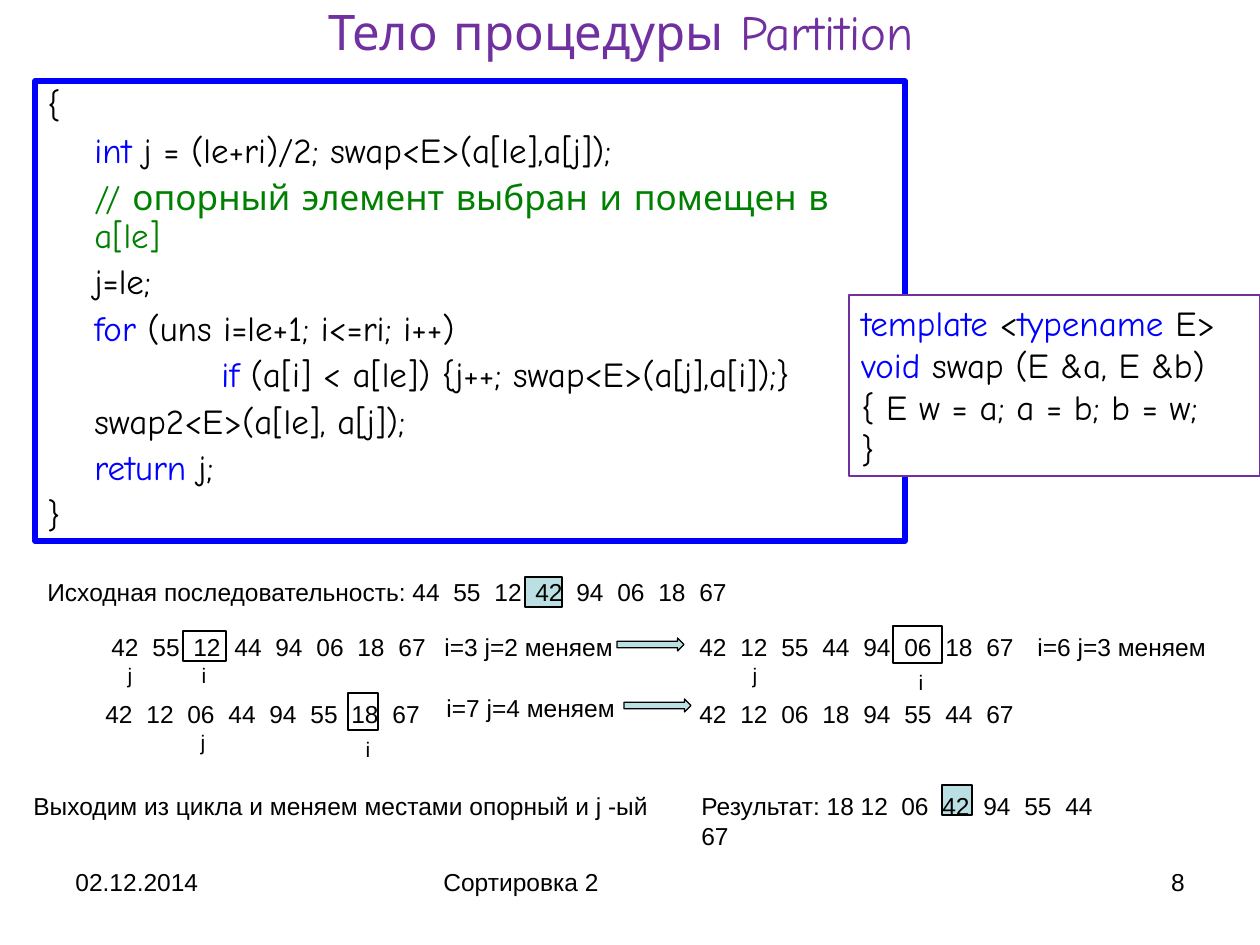
import pptx
import pptx.dml.color
import pptx.enum.shapes
import pptx.enum.text
import pptx.util
from lxml import etree

EMU_PER_PX = 914400 / 126
COLORS = {
    "text": "000000",
    "title": "7030A0",
    "keyword": "0000FF",
    "comment": "008000",
    "paper": "FFFFFF",
    "pivot": "BBE0E3",
}
INSET = 13
PITCH = 41
SHAPES = pptx.enum.shapes.MSO_SHAPE
ALIGN = pptx.enum.text.PP_ALIGN
ANCHOR = pptx.enum.text.MSO_ANCHOR


def px(length):
    return pptx.util.Emu(round(length * EMU_PER_PX))


def rgb(name):
    return pptx.dml.color.RGBColor.from_string(COLORS[name])


def within(box, left, top, width, height):
    return box[0] + left, box[1] + top, width, height


def set_tabs(paragraph, stops):
    properties = paragraph._p.get_or_add_pPr()
    tab_list = etree.SubElement(properties, pptx.oxml.ns.qn("a:tabLst"))
    for stop in stops:
        etree.SubElement(tab_list, pptx.oxml.ns.qn("a:tab"), pos=str(px(stop)), algn="l")


def write(frame, lines, font="Arial", size=14, align=ALIGN.LEFT, anchor=ANCHOR.TOP,
          wrap=True, color="text", spacing=None, before=0, indents=None, tabs=()):
    frame.word_wrap = wrap
    frame.vertical_anchor = anchor
    if isinstance(lines, str):
        lines = [[(lines, color)]]
    for index, runs in enumerate(lines):
        paragraph = frame.paragraphs[0] if index == 0 else frame.add_paragraph()
        if tabs:
            set_tabs(paragraph, tabs)
        if indents:
            paragraph._p.get_or_add_pPr().set("marL", str(px(indents[index])))
        paragraph.alignment = align
        if spacing:
            paragraph.line_spacing = spacing
        if before and index:
            paragraph.space_before = pptx.util.Pt(before)
        for text, run_color in runs:
            run = paragraph.add_run()
            run.text = text
            run.font.name = font
            run.font.size = pptx.util.Pt(size)
            run.font.color.rgb = rgb(run_color)


def add_label(slide, box, text, **style):
    write(slide.shapes.add_textbox(*map(px, box)).text_frame, text, **style)


def add_box(slide, box, fill=None, line="text", width=0.75, kind=SHAPES.RECTANGLE):
    shape = slide.shapes.add_shape(kind, *map(px, box))
    shape.shadow.inherit = False
    if fill:
        shape.fill.solid()
        shape.fill.fore_color.rgb = rgb(fill)
    else:
        shape.fill.background()
    shape.line.color.rgb = rgb(line)
    shape.line.width = pptx.util.Pt(width)
    return shape


def title(slide, box):
    add_label(slide, box, "Тело процедуры Partition", font="Comic Neue", size=28,
              color="title", align=ALIGN.CENTER, anchor=ANCHOR.MIDDLE)


def partition_code(slide, box):
    code = [
        (0, [("{", "text")]),
        (47, [("int", "keyword"), (" j = (le+ri)/2; swap<E>(a[le],a[j]);", "text")]),
        (47, [("// опорный элемент выбран и помещен в a[le]", "comment")]),
        (47, [("j=le;", "text")]),
        (47, [("for", "keyword"), (" (uns i=le+1; i<=ri; i++)", "text")]),
        (174, [("if", "keyword"), (" (a[i] < a[le]) {j++; swap<E>(a[j],a[i]);}", "text")]),
        (47, [("swap2<E>(a[le], a[j]);", "text")]),
        (47, [("return", "keyword"), (" j;", "text")]),
        (0, [("}", "text")]),
    ]
    panel = add_box(slide, box, fill="paper", line="keyword", width=3)
    write(panel.text_frame, [runs for _, runs in code], font="Comic Neue", size=20,
          spacing=0.9, before=5, indents=[indent for indent, _ in code])


def swap_code(slide, box):
    code = [
        [("template ", "keyword"), ("<", "text"), ("typename", "keyword"), (" E>", "text")],
        [("void ", "keyword"), ("swap (E &a, E &b)", "text")],
        [("{ E w = a; a = b; b = w;", "text")],
        [("}", "text")],
    ]
    panel = add_box(slide, box, fill="paper", line="title")
    write(panel.text_frame, code, font="Comic Neue", size=20)


def sequence(slide, box, numbers, lead="", first_stop=PITCH):
    values = numbers.split()
    stops = [first_stop + PITCH * k for k in range(len(values) - 1)]
    add_label(slide, box, lead + "\t".join(values), tabs=stops)


def trace(slide, box):
    for pivot in [(507, 6, 37, 30), (924, 214, 30, 30)]:
        add_box(slide, within(box, *pivot), fill="pivot")

    sequence(slide, within(box, 17, 0, 720, 43), "44 55 12 42 94 06 18 67",
             lead="Исходная последовательность: ", first_stop=365 + PITCH)
    sequence(slide, within(box, 671, 214, 478, 43), "06 42 94 55 44 67",
             lead="Результат: 18 12\t", first_stop=200)

    steps = [
        (94, 55, "42 55 12 44 94 06 18 67"),
        (682, 55, "42 12 55 44 94 06 18 67"),
        (88, 122, "42 12 06 44 94 55 18 67"),
        (682, 122, "42 12 06 18 94 55 44 67"),
    ]
    for left, top, numbers in steps:
        sequence(slide, within(box, left - INSET, top, 343, 43), numbers)

    for current in [(165, 60, 43, 30), (875, 55, 49, 37), (330, 122, 30, 37)]:
        add_box(slide, within(box, *current))

    indices = [("j", 112, 85), ("i", 186, 85), ("j", 737, 85),
               ("i", 903, 92), ("j", 185, 152), ("i", 350, 159)]
    for name, center, top in indices:
        add_label(slide, within(box, center - 15, top, 30, 38), name,
                  size=12, align=ALIGN.CENTER, wrap=False)

    notes = [("i=3 j=2 меняем", 427, 55), ("i=6 j=3 меняем", 1020, 55),
             ("i=7 j=4 меняем", 429, 116)]
    for note, left, top in notes:
        add_label(slide, within(box, left - INSET, top, 208, 43), note)

    for left, top in [(599, 67), (606, 128)]:
        add_box(slide, within(box, left, top, 67, 13), fill="pivot",
                kind=SHAPES.RIGHT_ARROW)

    add_label(slide, within(box, 3, 214, 655, 43),
              "Выходим из цикла и меняем местами опорный и j -ый")


def footer(slide, box):
    parts = [("02.12.2014", 0, 294, ALIGN.LEFT), ("Сортировка 2", 368, 399, ALIGN.LEFT),
             ("8", 840, 294, ALIGN.RIGHT)]
    for text, left, width, align in parts:
        add_label(slide, within(box, left, 0, width, box[3]), text, align=align)


def main():
    deck = pptx.Presentation()
    deck.slide_width, deck.slide_height = px(1260), px(945)
    slide = deck.slides.add_slide(deck.slide_layouts[6])
    title(slide, (54, 0, 1134, 62))
    partition_code(slide, (35, 81, 870, 460))
    swap_code(slide, (849, 295, 411, 181))
    trace(slide, (18, 571, 1242, 257))
    footer(slide, (63, 861, 1134, 66))
    deck.save("out.pptx")


if __name__ == "__main__":
    main()
